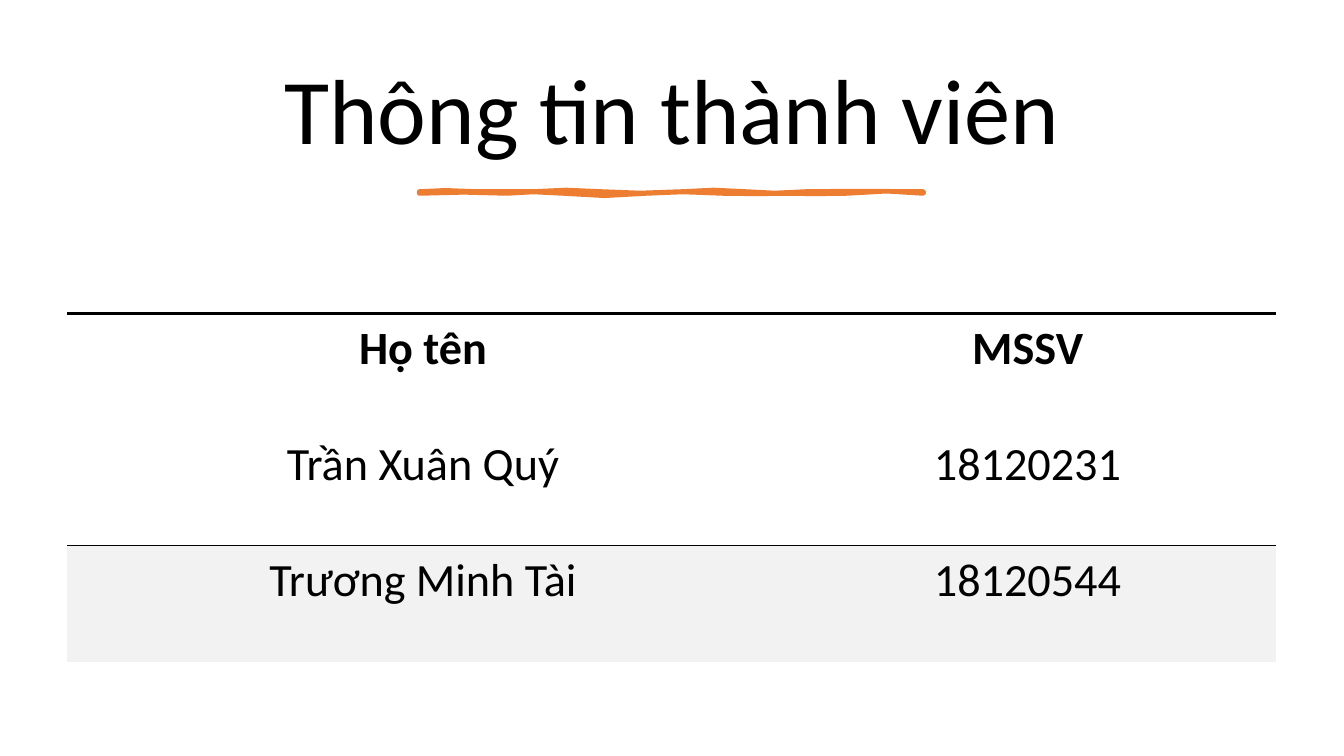
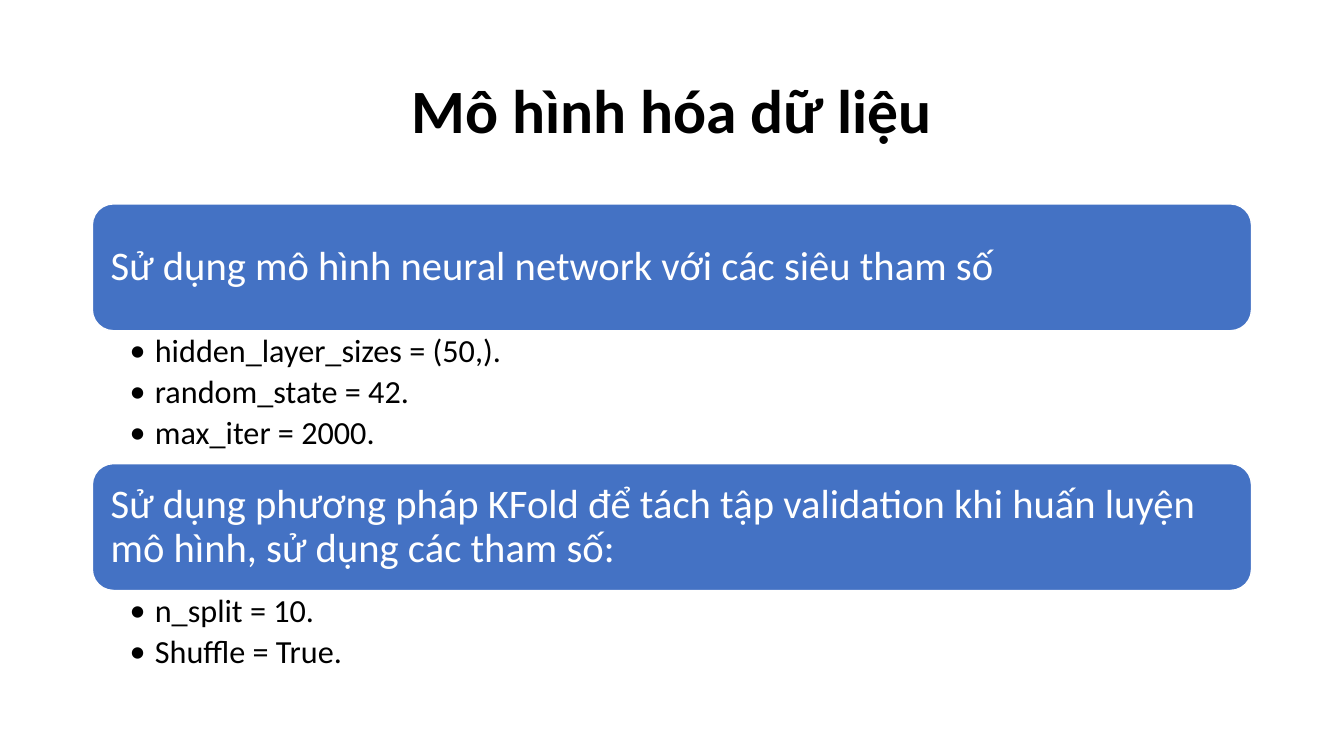
from dataclasses import dataclass

from lxml.etree import SubElement
from pptx import Presentation
from pptx.dml.color import RGBColor
from pptx.enum.shapes import MSO_SHAPE
from pptx.enum.text import MSO_ANCHOR, PP_ALIGN
from pptx.oxml import parse_xml
from pptx.oxml.ns import nsdecls, qn
from pptx.util import Emu, Inches, Pt


@dataclass(frozen=True)
class Theme:
    font: str = "Calibri"
    ink: RGBColor = RGBColor(0, 0, 0)
    paper: RGBColor = RGBColor(255, 255, 255)
    accent: RGBColor = RGBColor(0xED, 0x7D, 0x31)
    bar: RGBColor = RGBColor(0x44, 0x72, 0xC4)
    band: RGBColor = RGBColor(0xF2, 0xF2, 0xF2)
    cover: Pt = Pt(66)
    title: Pt = Pt(44)
    cell: Pt = Pt(33)
    head: Pt = Pt(29)
    item: Pt = Pt(23)


theme = Theme()
prs = Presentation()
prs.slide_width, prs.slide_height = Emu(12192000), Emu(6858000)
UNIT = prs.slide_width / 160  # the slide is a grid of 160 columns by 90 rows


def grid(*counts):
    return [Emu(round(n * UNIT)) for n in counts]


def write(p, text, size, color=theme.ink, bold=False, align=PP_ALIGN.LEFT):
    p.text = text
    p.alignment = align
    p.font.name, p.font.size, p.font.bold = theme.font, size, bold
    p.font.color.rgb = color


# Titles
slides = []
for text, size, bold, box in (
    ("Thông tin thành viên", theme.cover, False, (8.4, 5.45, 143.2, 16.4)),
    ("Mô hình hóa dữ liệu", theme.title, True, (11, 4.8, 138, 17.4)),
):
    s = prs.slides.add_slide(prs.slide_layouts[6])
    slides.append(s)
    tf = s.shapes.add_textbox(*grid(*box)).text_frame
    tf.word_wrap = True
    tf.vertical_anchor = MSO_ANCHOR.MIDDLE
    write(tf.paragraphs[0], text, size, bold=bold, align=PP_ALIGN.CENTER)
    tf.paragraphs[0].line_spacing = 0.9
members, model = slides

# Hand-drawn underline: cubic curves in hundredths of an inch,
# each reduced to its midpoint and its end
HUNDREDTH = Inches(0.01)
curves = (
    (12, -3, 38, 0, 57, 0), (76, -1, 93, 1, 113, 0), (133, -2, 158, -2, 180, 0),
    (201, 2, 237, 2, 261, 0), (286, -2, 298, -2, 323, 0), (347, 1, 358, 3, 384, 0),
    (410, -3, 451, 2, 500, 0), (501, 1, 500, 1, 500, 2), (479, 0, 449, -2, 424, 2),
    (399, 5, 385, 0, 363, 2), (340, 3, 331, 2, 301, 2), (271, 2, 251, -2, 225, 2),
    (198, 5, 169, 5, 143, 2), (118, -2, 107, 2, 87, 2), (67, 1, 22, 0, 0, 2),
)
points = []
x0 = y0 = 0
for x1, y1, x2, y2, x3, y3 in curves:
    middle = ((x0 + 3 * x1 + 3 * x2 + x3) / 8, (y0 + 3 * y1 + 3 * y2 + y3) / 8)
    points += [(x * HUNDREDTH, y * HUNDREDTH) for x, y in (middle, (x3, y3))]
    x0, y0 = x3, y3
builder = members.shapes.build_freeform(0, 0)
builder.add_line_segments(points, close=True)
sp = builder.convert_to_shape(*grid(49.92, 22.8))
sp.shadow.inherit = False
sp.fill.solid()
sp.fill.fore_color.rgb = theme.accent
sp.line.color.rgb = theme.accent
sp.line.width = Pt(3.25)

# Member table
rows = (
    ("Họ tên", "MSSV"),
    ("Trần Xuân Quý", "18120231"),
    ("Trương Minh Tài", "18120544"),
)
rules = ({"lnT": 2.25}, {"lnB": 0.5}, {"lnT": 0.5})
table = members.shapes.add_table(3, 2, *grid(8, 37.36, 143.96, 41.4)).table
table.first_row = table.horz_banding = False
for column, width in zip(table.columns, grid(86.76, 57.2)):
    column.width = width
for r, (texts, borders) in enumerate(zip(rows, rules)):
    for c, text in enumerate(texts):
        cell = table.cell(r, c)
        cell.margin_left, cell.margin_top = 0, Inches(0.07)
        cell.margin_right, cell.margin_bottom = Inches(0.17), Inches(0.49)
        write(cell.text_frame.paragraphs[0], text, theme.cell,
              bold=r == 0, align=PP_ALIGN.CENTER)
        tcPr = cell._tc.get_or_add_tcPr()
        for side in ("lnL", "lnR", "lnT", "lnB"):
            ln = SubElement(tcPr, qn(f"a:{side}"))
            if side in borders:
                ln.set("w", str(Pt(borders[side])))
                ln.append(parse_xml(
                    f'<a:solidFill {nsdecls("a")}>'
                    f'<a:srgbClr val="{theme.ink}"/></a:solidFill>'))
            else:
                SubElement(ln, qn("a:noFill"))
        if r == 2:
            cell.fill.solid()
            cell.fill.fore_color.rgb = theme.band
        else:
            cell.fill.background()

# Model settings: a bar with its list below, repeated at an equal step
BAR_HEIGHT, STEP = 15.1, 30.92
groups = (
    ("Sử dụng mô hình neural network với các siêu tham số",
     ("hidden_layer_sizes = (50,).", "random_state = 42.", "max_iter = 2000.")),
    ("Sử dụng phương pháp KFold để tách tập validation khi huấn luyện mô hình, "
     "sử dụng các tham số:",
     ("n_split = 10.", "Shuffle = True.")),
)
for i, (heading, items) in enumerate(groups):
    top = 24.28 + i * STEP
    sp = model.shapes.add_shape(
        MSO_SHAPE.ROUNDED_RECTANGLE, *grid(11, top, 138, BAR_HEIGHT))
    sp.shadow.inherit = False
    sp.fill.solid()
    sp.fill.fore_color.rgb = theme.bar
    sp.line.color.rgb = theme.paper
    sp.line.width = Pt(1)
    tf = sp.text_frame
    tf.word_wrap = True
    tf.vertical_anchor = MSO_ANCHOR.MIDDLE
    tf.margin_left = tf.margin_right = Inches(0.12)
    tf.margin_top = tf.margin_bottom = Inches(0.12)
    write(tf.paragraphs[0], heading, theme.head, theme.paper)
    tf.paragraphs[0].line_spacing = 0.9

    tf = model.shapes.add_textbox(
        *grid(11, top + BAR_HEIGHT, 138, 5.2 * len(items))).text_frame
    tf.word_wrap = True
    tf.margin_left, tf.margin_right = Inches(0.37), Inches(0.23)
    tf.margin_top = tf.margin_bottom = Inches(0.04)
    for n, item in enumerate(items):
        p = tf.add_paragraph() if n else tf.paragraphs[0]
        write(p, item, theme.item)
        p.level = 1
        p.line_spacing = 0.9
        p.space_after = Pt(4.6)
        pPr = p._p.get_or_add_pPr()
        pPr.set("marL", str(Inches(0.25)))
        pPr.set("indent", str(-Inches(0.25)))
        for tag in (f'buFont {nsdecls("a")} typeface="{theme.font}"',
                    f'buChar {nsdecls("a")} char="•"'):
            pPr.find(qn("a:defRPr")).addprevious(parse_xml(f"<a:{tag}/>"))

prs.save("out.pptx")
